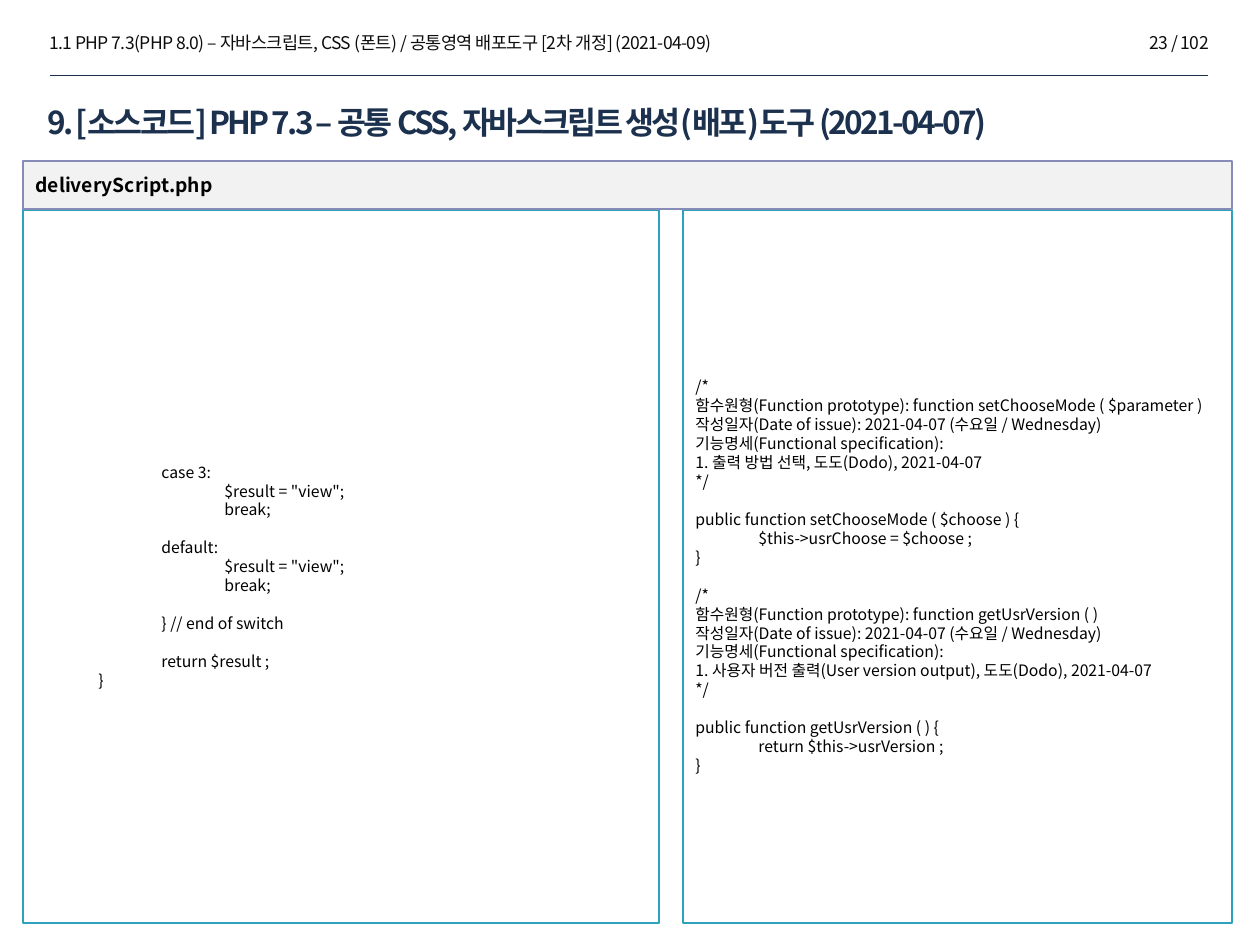
from lxml.etree import SubElement
from pptx import Presentation
from pptx.dml.color import RGBColor
from pptx.enum.shapes import MSO_CONNECTOR, MSO_SHAPE
from pptx.enum.text import MSO_ANCHOR, PP_ALIGN
from pptx.oxml.ns import qn
from pptx.util import Pt

SCALE = 914400 / 126
FONT = "Noto Sans CJK KR"
HUES = {"ink": "0D0D0D", "navy": "1C314E", "code": "000000", "white": "FFFFFF",
        "gray": "F2F2F2", "teal": "2DA2BF", "edge": "878BB8"}


def px(n):
    return round(n * SCALE)


def hue(name):
    return RGBColor.from_string(HUES[name])


def say(frame, text, size=9, color="code", bold=False, space=0, align=PP_ALIGN.LEFT, gap=10.8):
    first, blank = True, False
    for line in text.split("\n"):
        if not line:
            blank = True
            continue
        para = frame.paragraphs[0] if first else frame.add_paragraph()
        para.alignment = align
        if blank and not first:
            para.space_before = Pt(gap)
        first, blank = False, False
        run = para.add_run()
        run.text = line
        font = run.font
        font.size, font.bold, font.name = Pt(size), bold, FONT
        font.color.rgb = hue(color)
        props = run._r.get_or_add_rPr()
        SubElement(props, qn("a:ea")).set("typeface", FONT)
        if space:
            props.set("spc", str(round(space * 100)))


class Page:
    def __init__(self, deck):
        self.slide = deck.slides.add_slide(deck.slide_layouts[6])
        self.items = self.slide.shapes

    def text(self, x, y, w, h, words, **style):
        frame = self.items.add_textbox(px(x), px(y), px(w), px(h)).text_frame
        frame.word_wrap = True
        say(frame, words, **style)

    def box(self, x, y, w, h, words, fill="white", line="teal", top=6, **style):
        shape = self.items.add_shape(MSO_SHAPE.RECTANGLE, px(x), px(y), px(w), px(h))
        shape.shadow.inherit = False
        shape.fill.solid()
        shape.fill.fore_color.rgb = hue(fill)
        shape.line.color.rgb = hue(line)
        shape.line.width = Pt(0.75)
        frame = shape.text_frame
        frame.word_wrap = True
        frame.vertical_anchor = MSO_ANCHOR.MIDDLE
        frame.margin_top = px(top)
        say(frame, words, **style)

    def rule(self, x, y, end, color, width):
        line = self.items.add_connector(MSO_CONNECTOR.STRAIGHT, px(x), px(y), px(end), px(y))
        line.line.color.rgb = hue(color)
        line.line.width = Pt(width)
        SubElement(line._element.spPr, qn("a:effectLst"))


def method(head, item, body):
    return f"""/*
함수원형(Function prototype): function {head}
작성일자(Date of issue): 2021-04-07 (수요일 / Wednesday)
기능명세(Functional specification):
1. {item}, 도도(Dodo), 2021-04-07
*/

public function {head} {{
\t{body}
}}"""


VIEW = '\t\t\t$result = "view";\n\t\t\tbreak;'
LEFT = f"""\t\tcase 3:
{VIEW}

\t\tdefault:
{VIEW}

\t\t}} // end of switch

\t\treturn $result ;
\t}}"""

CHOOSE = method("setChooseMode ( $choose )", "출력 방법 선택", "$this->usrChoose = $choose ;")
CHOOSE = CHOOSE.replace("$choose )", "$parameter )", 1)
USER = method("getUsrVersion ( )", "사용자 버전 출력(User version output)",
              "return $this->usrVersion ;")


def main():
    deck = Presentation()
    deck.slide_width, deck.slide_height = px(1260), px(945)
    page = Page(deck)
    small = {"size": 10, "color": "ink", "space": -0.3}
    page.text(37, 26, 1094, 34, "1.1 PHP 7.3(PHP 8.0) – 자바스크립트, CSS (폰트) / "
              "공통영역 배포도구 [2차 개정] (2021-04-09)", **small)
    page.rule(50, 75, 1208, "navy", 0.25)
    page.text(35, 97, 1173, 81, "9. [소스코드] PHP 7.3 – 공통 CSS, 자바스크립트 생성(배포)도구 "
              "(2021-04-07)", size=18, color="navy", bold=True, space=-1.5)
    page.text(1003, 26, 218, 34, "23 / 102", align=PP_ALIGN.RIGHT, **small)
    page.box(23, 210, 636, 713, LEFT, top=25)
    page.box(683, 210, 549, 713, CHOOSE + "\n\n" + USER, top=25)
    page.box(23, 161, 1209, 48, "deliveryScript.php", fill="gray", line="edge",
             size=11, bold=True)
    deck.save("out.pptx")


if __name__ == "__main__":
    main()
